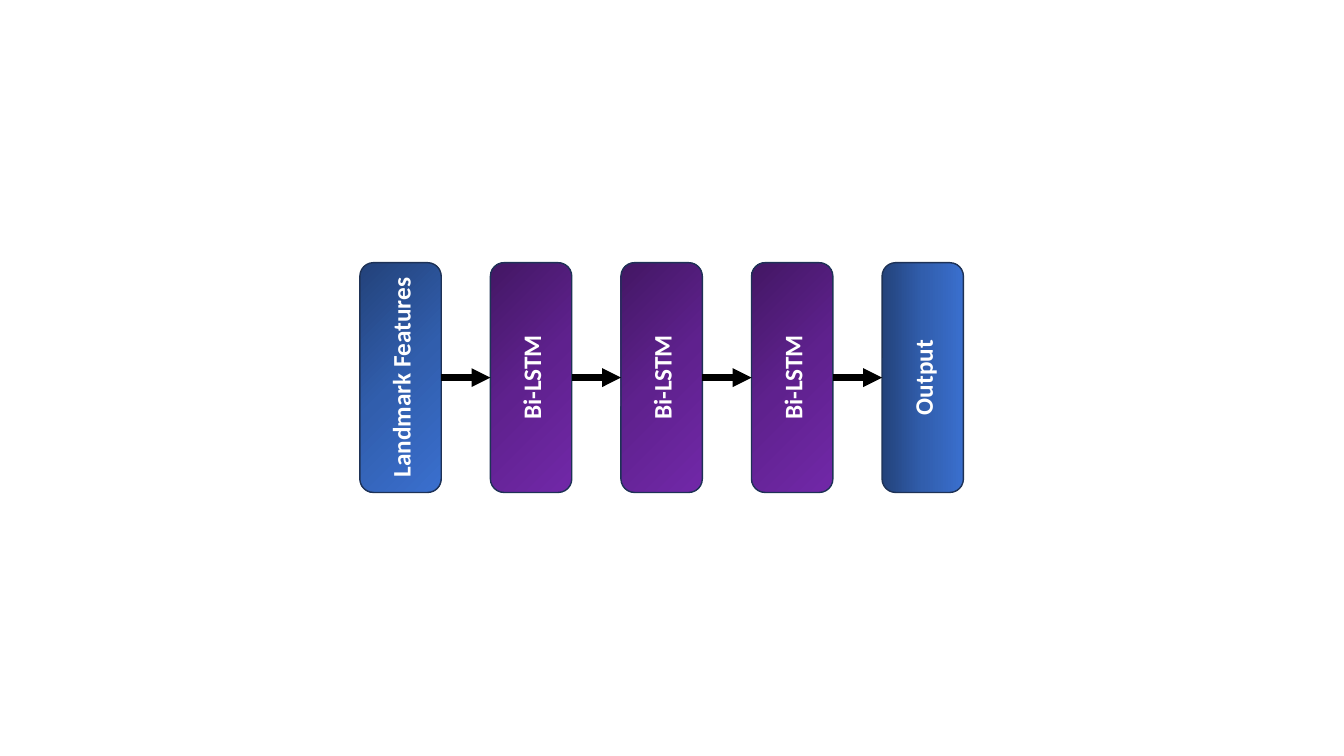
from itertools import pairwise

from pptx import Presentation
from pptx.dml.color import RGBColor
from pptx.enum.shapes import MSO_CONNECTOR as Connector, MSO_SHAPE as Shape
from pptx.enum.text import MSO_ANCHOR as Anchor, PP_ALIGN as Align
from pptx.oxml import parse_xml
from pptx.oxml.ns import nsdecls, qn
from pptx.oxml.xmlchemy import OxmlElement
from pptx.util import Cm, Pt

COLORS = {"text": "FFFFFF", "outline": "1E3256", "arrow": "000000"}
GRADIENTS = {
    "blue": ("23427A", "315EAD", "3A6FCE"),
    "purple": ("431764", "5F218E", "7128A8"),
}
SHADINGS = {
    "diagonal": '<a:lin ang="2700000" scaled="1"/>',
    "horizontal": '<a:lin ang="0" scaled="1"/>',
    "corner": '<a:path path="circle"><a:fillToRect r="100000" b="100000"/></a:path>',
}
LAYERS = [
    ("Landmark Features", "blue", "diagonal"),
    ("Bi-LSTM", "purple", "corner"),
    ("Bi-LSTM", "purple", "corner"),
    ("Bi-LSTM", "purple", "corner"),
    ("Output", "blue", "horizontal"),
]
FIRST_LEFT, TOP, WIDTH, HEIGHT, PITCH = 9.07, 6.62, 2.05, 5.79, 3.29
LEFT_SITE, RIGHT_SITE = 1, 3


class NetworkDiagram:
    font_name = "Calibri"
    font_size = Pt(18)

    def __init__(self, slide):
        self.slide = slide

    def fill_gradient(self, shape, gradient, shading):
        """Give the shape three evenly spaced colour stops."""
        stops = "".join(
            f'<a:gs pos="{index * 50000}"><a:srgbClr val="{color}"/></a:gs>'
            for index, color in enumerate(GRADIENTS[gradient])
        )
        fill = parse_xml(
            f'<a:gradFill {nsdecls("a")} rotWithShape="1">'
            f"<a:gsLst>{stops}</a:gsLst>{SHADINGS[shading]}</a:gradFill>"
        )
        shape.element.spPr.find(qn("a:prstGeom")).addnext(fill)

    def add_layer(self, left, label, gradient, shading):
        shape = self.slide.shapes.add_shape(
            Shape.ROUNDED_RECTANGLE, Cm(left), Cm(TOP), Cm(WIDTH), Cm(HEIGHT)
        )
        shape.shadow.inherit = False
        self.fill_gradient(shape, gradient, shading)
        shape.line.color.rgb = RGBColor.from_string(COLORS["outline"])
        shape.line.width = Pt(1)
        self.write_label(shape, label)
        return shape

    def write_label(self, shape, label):
        """Write the label centred, reading upwards."""
        frame = shape.text_frame
        frame.text = label
        frame.vertical_anchor = Anchor.MIDDLE
        shape.element.txBody.bodyPr.set("vert", "vert270")
        paragraph = frame.paragraphs[0]
        paragraph.alignment = Align.CENTER
        font = paragraph.runs[0].font
        font.name, font.size, font.bold = self.font_name, self.font_size, True
        font.color.rgb = RGBColor.from_string(COLORS["text"])

    def add_arrow(self, source, target):
        arrow = self.slide.shapes.add_connector(Connector.STRAIGHT, 0, 0, 0, 0)
        arrow.begin_connect(source, RIGHT_SITE)
        arrow.end_connect(target, LEFT_SITE)
        arrow.line.color.rgb = RGBColor.from_string(COLORS["arrow"])
        arrow.line.width = Pt(4.5)
        properties = arrow.element.spPr
        head = OxmlElement("a:tailEnd")
        head.set("type", "triangle")
        properties.find(qn("a:ln")).append(head)
        properties.append(OxmlElement("a:effectLst"))


def main():
    presentation = Presentation()
    presentation.slide_width, presentation.slide_height = Cm(33.87), Cm(19.05)
    blank_layout = presentation.slide_layouts.get_by_name("Blank")
    diagram = NetworkDiagram(presentation.slides.add_slide(blank_layout))
    layers = [
        diagram.add_layer(FIRST_LEFT + index * PITCH, *layer)
        for index, layer in enumerate(LAYERS)
    ]
    for source, target in pairwise(layers):
        diagram.add_arrow(source, target)
    presentation.save("out.pptx")


if __name__ == "__main__":
    main()
